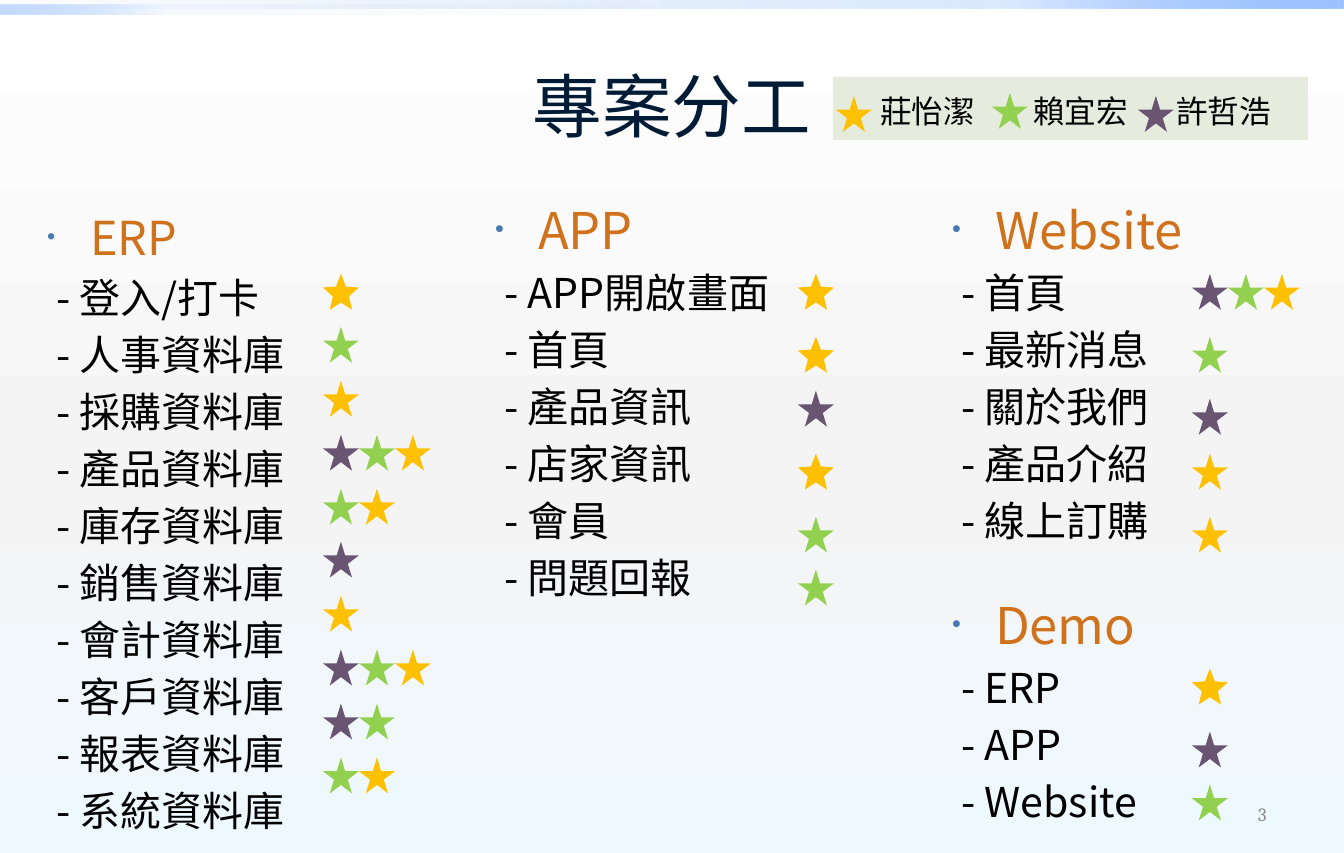
import pptx
import pptx.util
import pptx.dml.color
import pptx.enum.shapes
import pptx.enum.text
import pptx.oxml
import pptx.oxml.ns

PX = 914400 / 113.8
SANS = "Noto Sans CJK SC"
STAR = 36
COLORS = {"Y": "FFC000", "G": "92D050", "P": "695572"}
ALIGN = pptx.enum.text.PP_ALIGN
ANCHOR = pptx.enum.text.MSO_ANCHOR
SHAPE = pptx.enum.shapes.MSO_SHAPE


def px(*lengths):
    return [pptx.util.Emu(round(length * PX)) for length in lengths]


def color(value):
    return pptx.dml.color.RGBColor.from_string(value)


def add_xml(parent, tag, **attributes):
    child = parent.makeelement(pptx.oxml.ns.qn(tag), attributes)
    parent.append(child)
    return child


def set_gradient(fill, element, stops, angle):
    fill.gradient()
    fill.gradient_angle = angle
    stop_list = element.find(".//" + pptx.oxml.ns.qn("a:gsLst"))
    for stop in list(stop_list):
        stop_list.remove(stop)
    for position, value, opacity in stops:
        stop = add_xml(stop_list, "a:gs", pos=str(position * 1000))
        tint = add_xml(stop, "a:srgbClr", val=value)
        if opacity < 100:
            add_xml(tint, "a:alpha", val=str(opacity * 1000))


def write(para, text, size, ink="000000", font=SANS, align=ALIGN.LEFT,
          line=None, before=0, margin=0, indent=0, bullet=False):
    properties = para._p.get_or_add_pPr()
    left, first = px(margin, indent)
    properties.set("marL", str(left))
    properties.set("indent", str(first))
    if bullet:
        bullet_color = add_xml(properties, "a:buClr")
        add_xml(bullet_color, "a:srgbClr", val="477AB1")
        add_xml(properties, "a:buSzPct", val="50000")
        add_xml(properties, "a:buFont", typeface="Arial")
        add_xml(properties, "a:buChar", char="•")
    else:
        add_xml(properties, "a:buNone")
    para.alignment = align
    if line:
        para.line_spacing = pptx.util.Pt(round(line * size, 1))
    if before:
        para.space_before = pptx.util.Pt(before)
    span = para.add_run()
    span.text = text
    span.font.size = pptx.util.Pt(size)
    span.font.name = font
    span.font.color.rgb = color(ink)
    add_xml(span._r.get_or_add_rPr(), "a:ea", typeface=SANS)


class Slide:
    def __init__(self, deck):
        self.page = deck.slides.add_slide(deck.slide_layouts[5])

    def background(self, stops, angle):
        set_gradient(self.page.background.fill, self.page._element, stops, angle)

    def shape(self, kind, left, top, width, height, fill=None):
        shape = self.page.shapes.add_shape(kind, *px(left, top, width, height))
        shape.shadow.inherit = False
        shape.line.fill.background()
        if fill:
            shape.fill.solid()
            shape.fill.fore_color.rgb = color(fill)
        return shape

    def band(self, left, top, width, height, stops, angle):
        band = self.shape(SHAPE.RECTANGLE, left, top, width, height)
        set_gradient(band.fill, band._element, stops, angle)

    def star(self, left, top, fill, wide=False):
        star = self.shape(SHAPE.STAR_5_POINT, left, top, STAR, STAR, fill)
        if wide:
            star.adjustments[0] = 0.222

    def stars(self, left, top, owners):
        for index, owner in enumerate(owners):
            key = owner.upper()
            self.star(left + index * STAR, top, COLORS[key], owner != key)

    def title(self, text, left, top, width, height):
        box = self.page.shapes.title
        box.left, box.top, box.width, box.height = px(left, top, width, height)
        box.text_frame.vertical_anchor = ANCHOR.MIDDLE
        write(box.text_frame.paragraphs[0], text, 44, ink="001B36",
              font="Roboto", align=ALIGN.CENTER)

    def text(self, left, top, width, height, anchor=ANCHOR.TOP):
        box = self.page.shapes.add_textbox(*px(left, top, width, height))
        box.text_frame.word_wrap = True
        box.text_frame.vertical_anchor = anchor
        return box.text_frame

    def label(self, text, left, top, width, height, anchor=ANCHOR.TOP, **style):
        frame = self.text(left, top, width, height, anchor)
        write(frame.paragraphs[0], text, **style)

    def tasks(self, heading, items, left, top, width, height, sizes=(32, 26)):
        frame = self.text(left, top, width, height)
        write(frame.paragraphs[0], heading, sizes[0], ink="D0721C", line=1.21,
              margin=43, indent=-43, bullet=True)
        for item in items:
            write(frame.add_paragraph(), "- " + item, sizes[1], line=1.19,
                  before=5.25, margin=43, indent=-34)


def main():
    deck = pptx.Presentation()
    deck.slide_width = pptx.util.Cm(30)
    deck.slide_height = pptx.util.Inches(7.5)
    slide = Slide(deck)

    slide.background([(0, "FFFFFF", 100), (55, "F4F4F4", 100),
                      (100, "EEF9FF", 100)], 270)
    slide.band(0, 0, 1344, 9, [(0, "0058B7", 0), (75, "4F95FF", 20),
                               (100, "9EC2FF", 100)], 45)
    slide.band(0, 5, 672, 9, [(0, "0058B7", 0), (75, "4F95FF", 5),
                              (100, "9EC2FF", 60)], 225)
    slide.title("專案分工", 67, 34, 1210, 142)

    slide.shape(SHAPE.RECTANGLE, 833, 77, 475, 63, "E5ECDD")
    legend = [("莊怡潔", "Y", 836, 96, 869), ("賴宜宏", "G", 992, 93, 1022),
              ("許哲浩", "P", 1138, 96, 1165)]
    for name, owner, star_left, star_top, name_left in legend:
        slide.star(star_left, star_top, COLORS[owner])
        slide.label(name, name_left, 86, 152, 50, size=20, line=1.22)

    slide.tasks("ERP", ["登入/打卡", "人事資料庫", "採購資料庫", "產品資料庫",
                        "庫存資料庫", "銷售資料庫", "會計資料庫", "客戶資料庫",
                        "報表資料庫", "系統資料庫"],
                36, 203, 403, 627, sizes=(29.6, 25.9))
    slide.tasks("APP", ["APP開啟畫面", "首頁", "產品資訊", "店家資訊", "會員",
                        "問題回報"], 484, 193, 390, 439)
    slide.tasks("Website", ["首頁", "最新消息", "關於我們", "產品介紹", "線上訂購"],
                941, 193, 381, 421)
    slide.tasks("Demo", ["ERP", "APP", "Website"], 941, 588, 331, 250)

    erp_owners = ["y", "G", "Y", "PGY", "GY", "P", "Y", "PGY", "PG", "GY"]
    erp_tops = [274 + 484 * row // 9 for row in range(len(erp_owners))]
    assignments = [
        (323, erp_tops, erp_owners),
        (798, [274, 337, 391, 454, 517, 570], ["y", "y", "P", "y", "G", "G"]),
        (1192, [274, 337, 399, 454, 517], ["PGY", "G", "P", "Y", "Y"]),
        (1192, [669, 732, 785], ["y", "P", "G"]),
    ]
    for left, tops, owners in assignments:
        for top, team in zip(tops, owners):
            slide.stars(left, top, team)

    slide.label("3", 964, 791, 314, 46, anchor=ANCHOR.MIDDLE, size=12,
                ink="8C8C8C", font="Cambria", align=ALIGN.RIGHT)
    deck.save("out.pptx")


if __name__ == "__main__":
    main()
